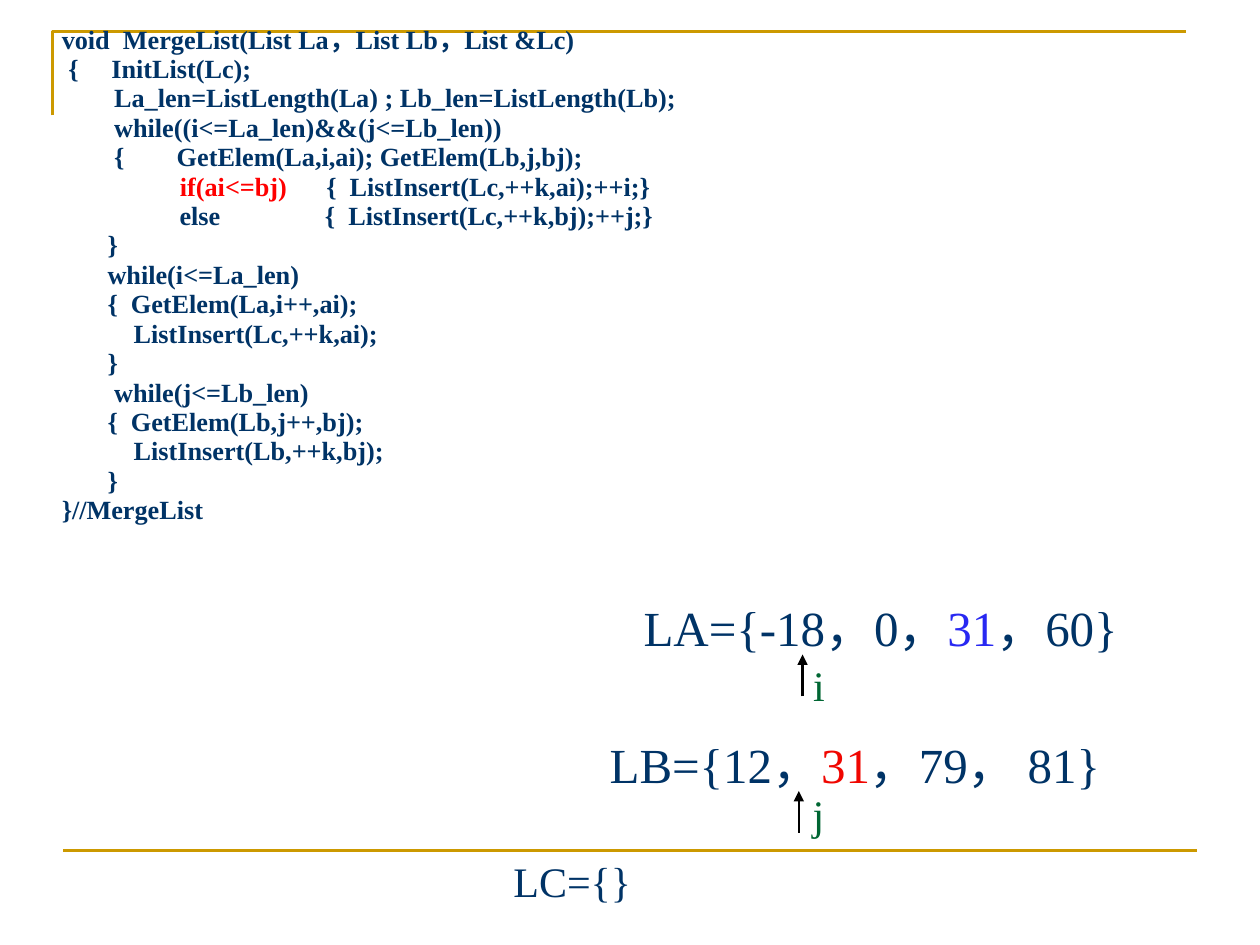
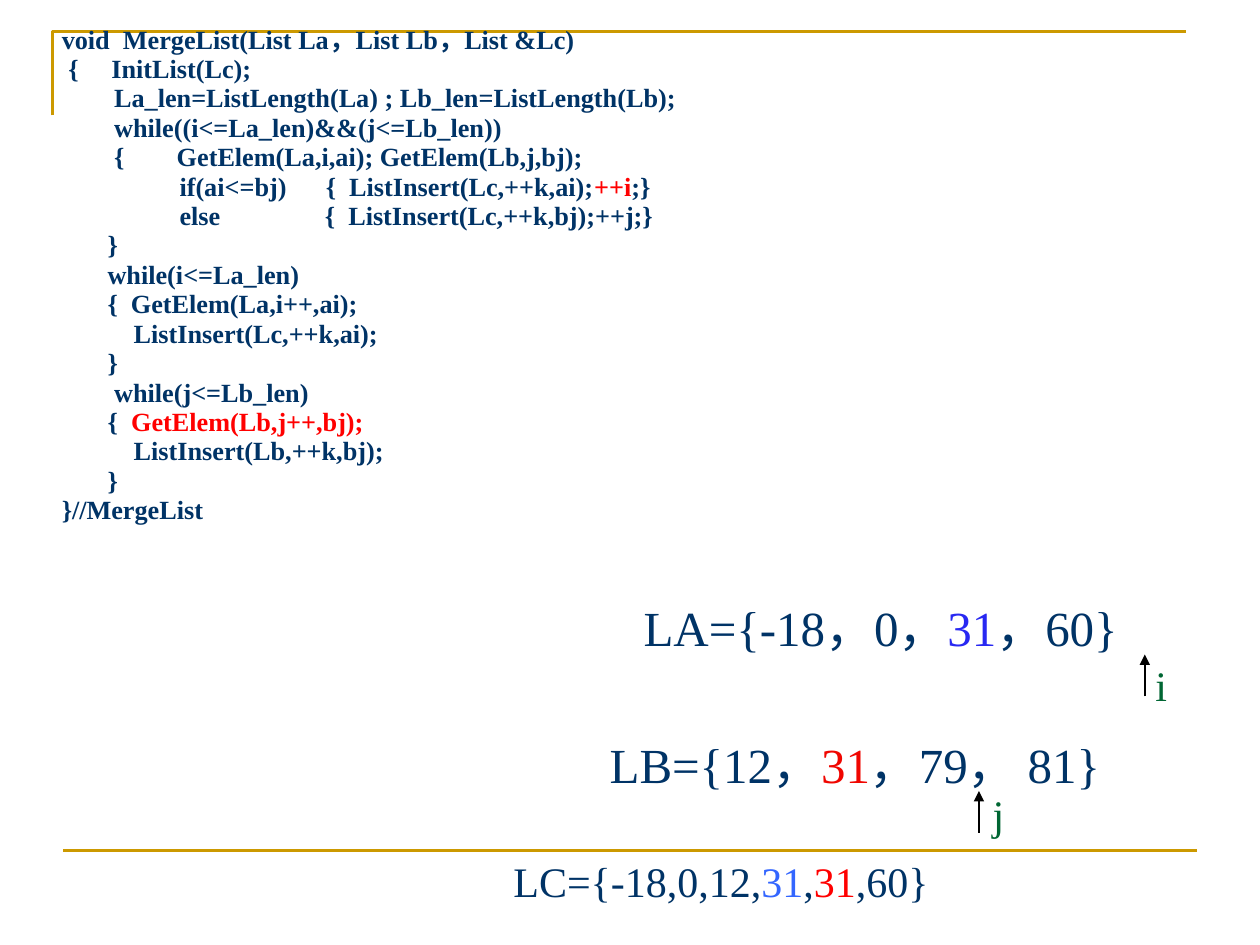
from lxml.etree import SubElement
from pptx import Presentation
from pptx.dml.color import RGBColor
from pptx.enum.shapes import MSO_CONNECTOR
from pptx.enum.text import MSO_ANCHOR, MSO_AUTO_SIZE
from pptx.oxml.ns import qn
from pptx.util import Pt

NAVY, GREEN, GOLD, BLACK = "003366", "006633", "CC9900", "000000"
RED, DARK_RED, BLUE, LIGHT_BLUE = "FF0000", "F00600", "2828F2", "3366FF"

CODE = """void  MergeList(List La，List Lb，List &Lc)
 {     InitList(Lc);
        La_len=ListLength(La) ; Lb_len=ListLength(Lb);
        while((i<=La_len)&&(j<=Lb_len))
        {        GetElem(La,i,ai); GetElem(Lb,j,bj);
                  if(ai<=bj)      {  ListInsert(Lc,++k,ai);++i;}
                  else                {  ListInsert(Lc,++k,bj);++j;}
       }
       while(i<=La_len)
       {  GetElem(La,i++,ai);
           ListInsert(Lc,++k,ai);
       }
        while(j<=Lb_len)
       {  GetElem(Lb,j++,bj);
           ListInsert(Lb,++k,bj);
       }
}//MergeList""".split("\n")

LIST_A = [("LA={-18，0，", NAVY), ("31", BLUE), ("，60}", NAVY)]
LIST_B = [("LB={12，", NAVY), ("31", DARK_RED), ("，79， 81}", NAVY)]

STEPS = [
    {"marks": ["if(ai<=bj)"], "i": 458.6, "j": 456.5, "lc_width": 84,
     "lc": [("LC={}", NAVY)]},
    {"marks": ["++i", "GetElem(Lb,j++,bj);"], "i": 654.2, "j": 559.4, "lc_width": 256,
     "lc": [("LC={-18,0,12,", NAVY), ("31", LIGHT_BLUE), (",", NAVY),
            ("31", RED), (",60}", NAVY)]},
]


def rgb(value):
    return RGBColor.from_string(value)


def apply(target, values):
    for name, value in values.items():
        setattr(target, name, value)


class Deck:
    font = "Times New Roman"
    frame = {"margin_left": Pt(7.2), "margin_right": Pt(7.2),
             "margin_top": Pt(3.6), "margin_bottom": Pt(3.6),
             "vertical_anchor": MSO_ANCHOR.TOP}

    def __init__(self):
        self.prs = Presentation()
        apply(self.prs, {"slide_width": Pt(720), "slide_height": Pt(540)})

    def new_slide(self):
        self.s = self.prs.slides.add_slide(self.prs.slide_layouts[1])
        title = self.s.shapes.title
        title._element.getparent().remove(title._element)
        builder = self.s.shapes.build_freeform(Pt(30), Pt(66))
        builder.add_line_segments([(Pt(30), Pt(18)), (Pt(678), Pt(18))], close=False)
        corner = builder.convert_to_shape()
        corner.shadow.inherit = False
        corner.fill.background()
        self.stroke(corner, GOLD)
        self.line(self.s.shapes, 36, 486, 684, 486, GOLD)

    def stroke(self, sp, color):
        sp.line.color.rgb = rgb(color)
        sp.line.width = Pt(1.5)

    def line(self, shapes, x1, y1, x2, y2, color, arrow=False):
        sp = shapes.add_connector(MSO_CONNECTOR.STRAIGHT, Pt(x1), Pt(y1), Pt(x2), Pt(y2))
        self.stroke(sp, color)
        if arrow:
            SubElement(sp.line._get_or_add_ln(), qn("a:tailEnd"), type="triangle")
        SubElement(sp._element.spPr, qn("a:effectLst"))

    def runs(self, p, parts, size, bold=False):
        for text, color in parts:
            r = p.add_run()
            r.text = text
            apply(r.font, {"name": self.font, "size": Pt(size), "bold": bold})
            r.font.color.rgb = rgb(color)

    def text(self, shapes, box, parts, size, wrap=False):
        sp = shapes.add_textbox(*map(Pt, box))
        tf = sp.text_frame
        apply(tf, {**self.frame, "word_wrap": wrap,
                   "auto_size": MSO_AUTO_SIZE.SHAPE_TO_FIT_TEXT})
        self.runs(tf.paragraphs[0], parts, size)

    def code(self, lines, marks):
        sp = self.s.placeholders[1]
        self.s.shapes._spTree.append(sp._element)
        apply(sp, {"left": Pt(28.1), "top": Pt(15.8), "width": Pt(672), "height": Pt(294)})
        tf = sp.text_frame
        apply(tf, {**self.frame, "word_wrap": True, "auto_size": MSO_AUTO_SIZE.NONE})
        for n, text in enumerate(lines):
            p = tf.add_paragraph() if n else tf.paragraphs[0]
            pPr = p._p.get_or_add_pPr()
            pPr.set("marL", str(Pt(27)))
            pPr.set("indent", str(Pt(-27)))
            SubElement(pPr, qn("a:buNone"))
            apply(p, {"line_spacing": 0.6, "space_before": Pt(6 if n else 0)})
            mark = next((m for m in marks if m in text), None)
            parts = zip(text.partition(mark), (NAVY, RED, NAVY)) if mark else [(text, NAVY)]
            self.runs(p, [part for part in parts if part[0]], 15, True)

    def pointer(self, name, x, tip, label_box):
        shapes = self.s.shapes.add_group_shape().shapes
        self.line(shapes, x, tip + 24, x, tip, BLACK, arrow=True)
        dx, top, width = label_box
        self.text(shapes, (x + dx, top, width, 36), [(name, GREEN)], 24)


def main():
    deck = Deck()
    for step in STEPS:
        deck.new_slide()
        deck.code(CODE, step["marks"])
        deck.text(deck.s.shapes, (360.7, 337.7, 342, 41), LIST_A, 28, wrap=True)
        deck.text(deck.s.shapes, (341.3, 416.2, 334.8, 41), LIST_B, 28)
        deck.pointer("i", step["i"], 374, (-1, 373.3, 21))
        deck.pointer("j", step["j"], 452, (0.7, 447, 21))
        deck.text(deck.s.shapes, (286.3, 485.6, step["lc_width"], 36), step["lc"], 24, wrap=True)
    deck.prs.save("out.pptx")


if __name__ == "__main__":
    main()
